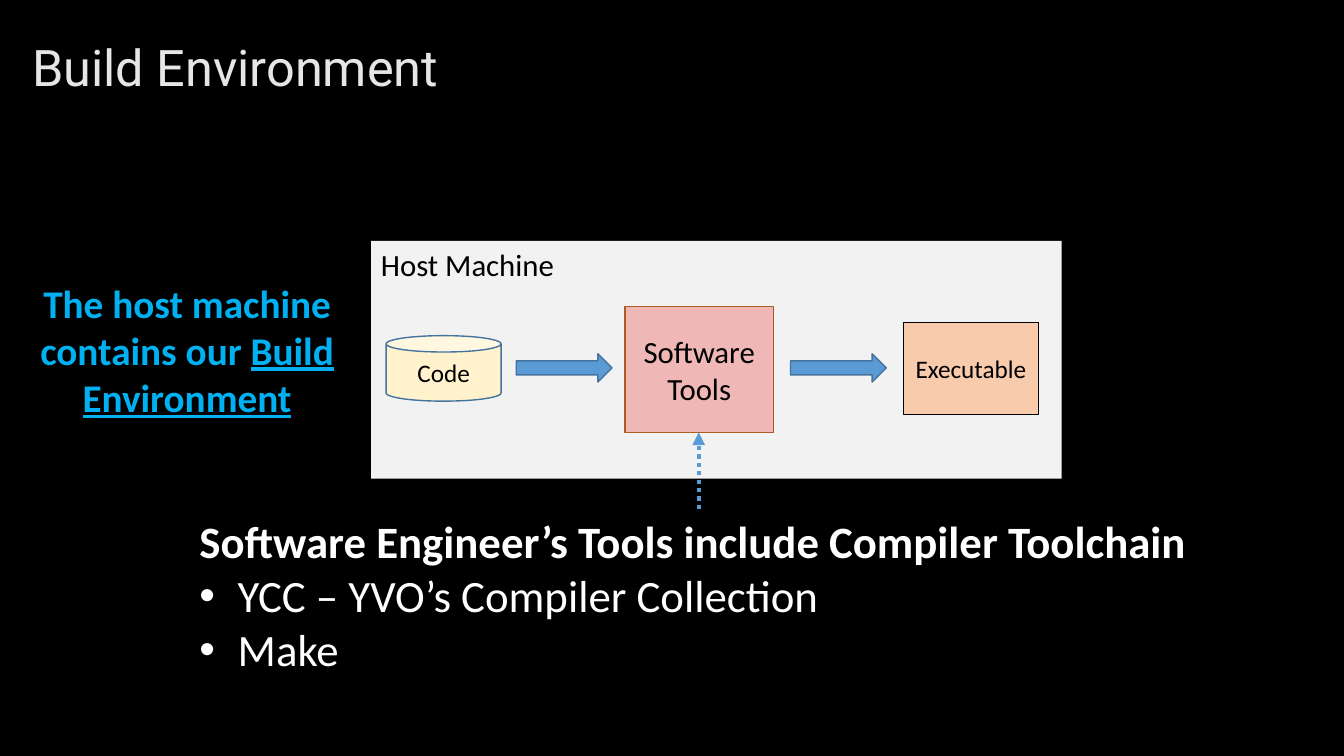
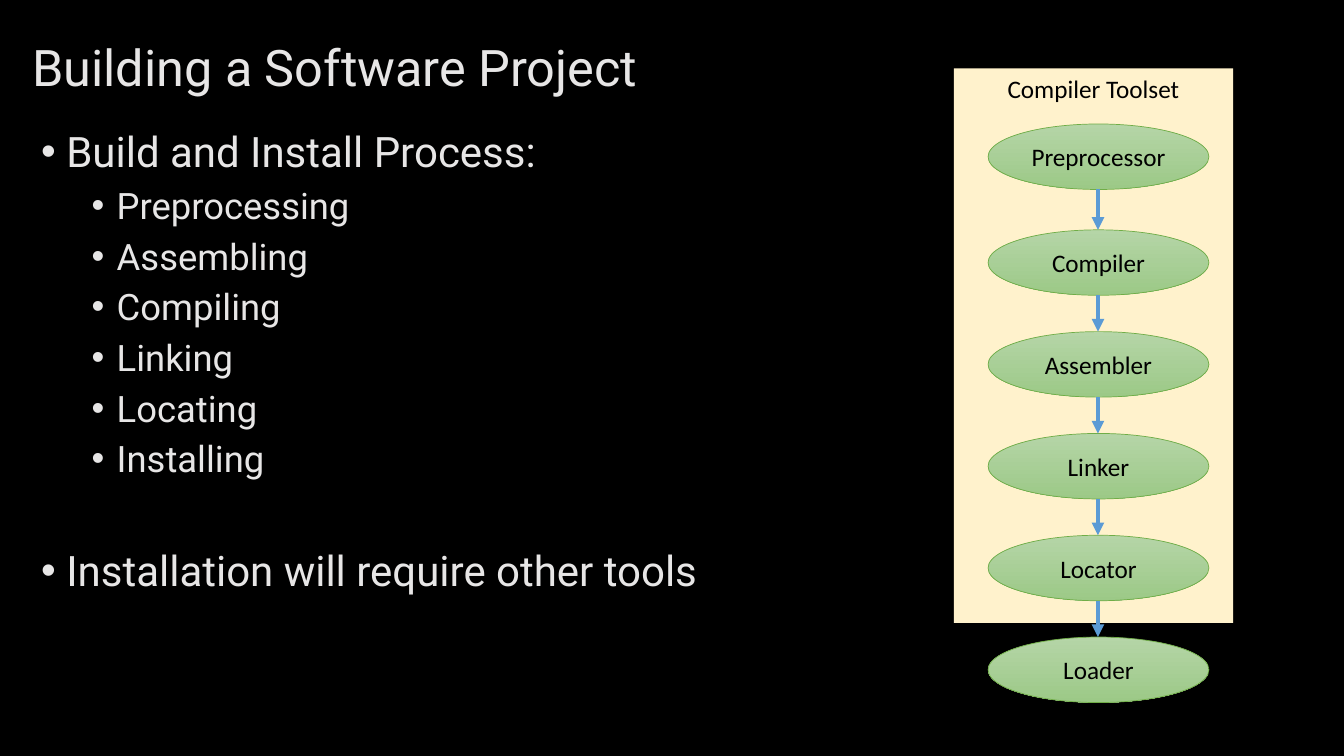
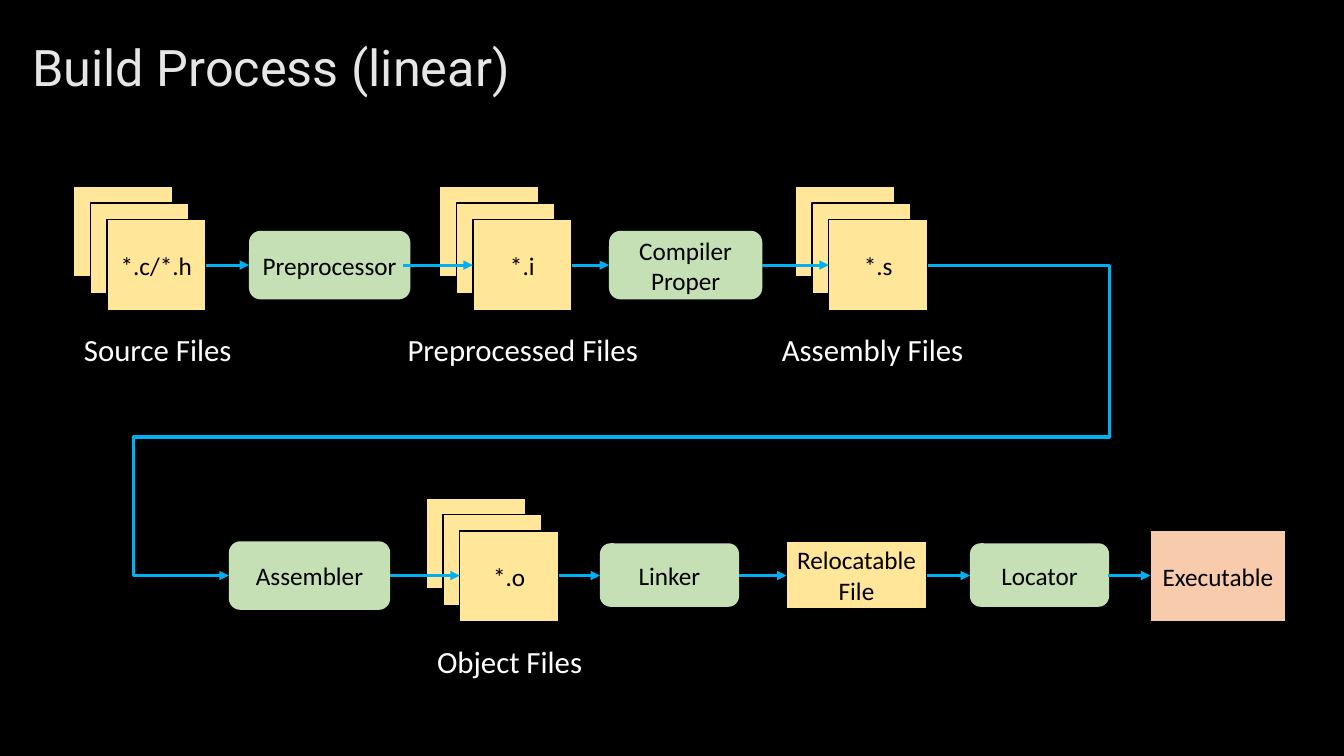
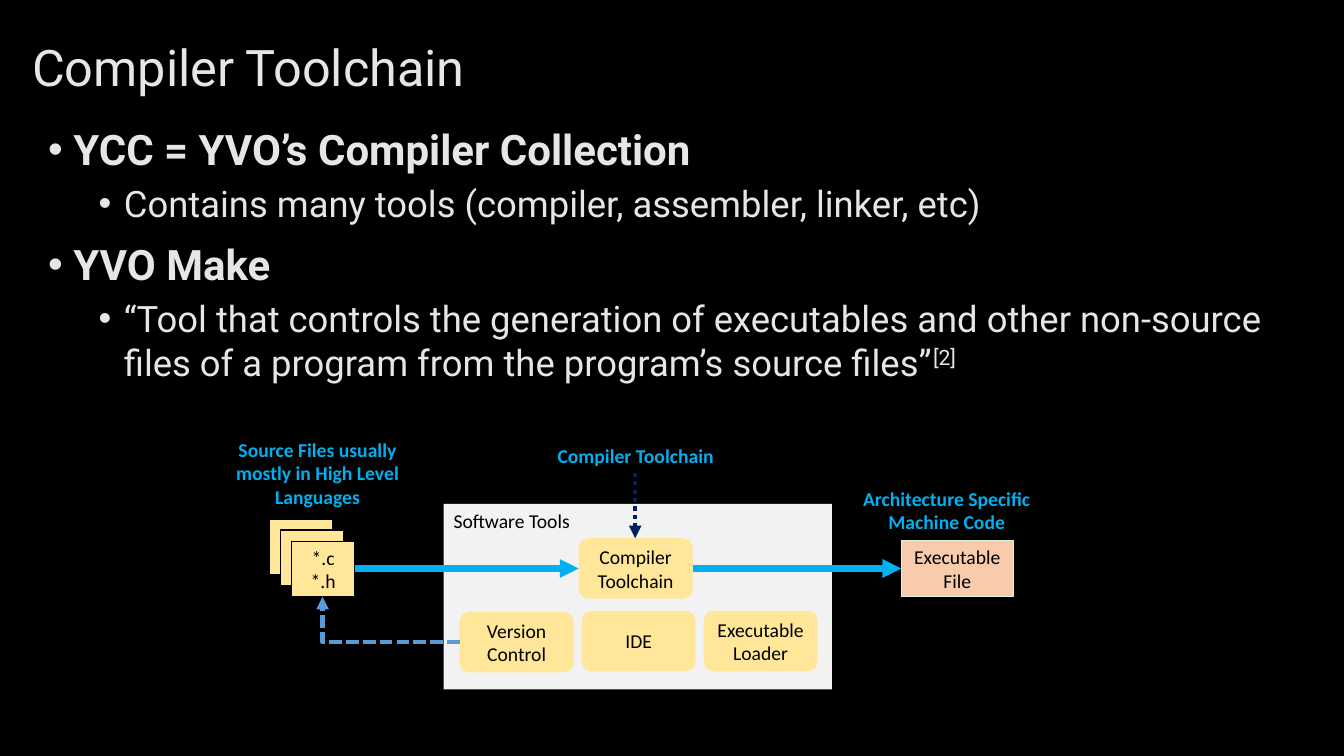
"""Build four slides that explain a compiler toolchain and its build process."""
from dataclasses import dataclass, replace
from itertools import pairwise
from typing import NamedTuple, Optional

from pptx import Presentation
from pptx.dml.color import RGBColor
from pptx.enum.dml import MSO_LINE
from pptx.enum.shapes import MSO_CONNECTOR, MSO_SHAPE
from pptx.enum.text import MSO_ANCHOR, PP_ALIGN
from pptx.oxml.ns import qn
from pptx.oxml.xmlchemy import OxmlElement
from pptx.util import Inches, Pt

BLACK, WHITE, LIGHT = "000000", "FFFFFF", "E7E6E6"
PANEL, CREAM, YELLOW = "F2F2F2", "FFF2CC", "FFE699"
GREEN, PEACH, PINK = "C5E0B4", "F8CBAD", "EFB8B7"
SKY, BLUE, DARK_BLUE, NAVY = "00B0F0", "5B9BD5", "43739E", "002060"
LEAF, LEAF_TOP, LEAF_BOTTOM = "70AD47", "B5D5A7", "9CC987"
RUST, MINT = "AF5C24", "E2F0D9"


class Box(NamedTuple):
    """Place and size in inches."""
    left: float
    top: float
    width: float
    height: float


class Point(NamedTuple):
    """Position in inches."""
    x: float
    y: float


@dataclass(frozen=True)
class TextStyle:
    """Look of a text."""
    size: float
    color: str = BLACK
    font: str = "Calibri"
    bold: bool = False
    align: PP_ALIGN = PP_ALIGN.CENTER
    anchor: MSO_ANCHOR = MSO_ANCHOR.MIDDLE


@dataclass(frozen=True)
class Node:
    """Filled shape with an optional label and outline."""
    box: Box
    text: str = ""
    fill: str = YELLOW
    kind: MSO_SHAPE = MSO_SHAPE.RECTANGLE
    line: Optional[str] = None
    line_width: float = 1


@dataclass(frozen=True)
class Arrow:
    """Connector with an arrowhead at its end."""
    start: Point
    end: Point
    color: str = SKY
    width: float = 2.25
    dash: Optional[MSO_LINE] = None
    preset: str = "line"
    adjustments: tuple[int, ...] = ()


@dataclass(frozen=True)
class Item:
    """Bulleted line of a body text."""
    text: str
    level: int = 0
    bold: bool = False
    space_before: Optional[float] = None


TITLE = TextStyle(36, LIGHT, "Roboto", align=PP_ALIGN.LEFT)
BODY = replace(TITLE, size=30, anchor=MSO_ANCHOR.TOP)
LABEL = TextStyle(18)
BIG_LABEL = TextStyle(22)
SMALL_LABEL = TextStyle(14)
CAPTION = TextStyle(22, WHITE, anchor=MSO_ANCHOR.TOP)
CALLOUT = TextStyle(28, SKY, bold=True, anchor=MSO_ANCHOR.TOP)
SMALL_CALLOUT = replace(CALLOUT, size=14)
TOOL_LIST = TextStyle(32, WHITE, align=PP_ALIGN.LEFT, anchor=MSO_ANCHOR.TOP)
LEVEL_SIZES = (30, 26)
LEVEL_MARGINS = (0.25, 0.75)
LEVEL_SPACES = (10, 5)


def rgb(color: str) -> RGBColor:
    """Turn a hex string into a colour."""
    return RGBColor.from_string(color)


def format_run(run, style: TextStyle) -> None:
    """Apply a text style to a run."""
    run.font.name = style.font
    run.font.size = Pt(style.size)
    run.font.bold = style.bold
    run.font.color.rgb = rgb(style.color)


def write(text_frame, text: str, style: TextStyle) -> None:
    """Fill a text frame and style every paragraph."""
    text_frame.word_wrap = True
    text_frame.vertical_anchor = style.anchor
    text_frame.text = text
    for paragraph in text_frame.paragraphs:
        paragraph.alignment = style.align
        for run in paragraph.runs:
            format_run(run, style)


def append_run(paragraph, text: str, style: TextStyle):
    """Add a styled run to a paragraph."""
    run = paragraph.add_run()
    run.text = text
    format_run(run, style)
    return run


def add_text(slide, box: Box, text: str, style: TextStyle):
    """Add a text box and return its text frame."""
    text_frame = slide.shapes.add_textbox(*map(Inches, box)).text_frame
    write(text_frame, text, style)
    return text_frame


def add_bullet(paragraph, margin: float, hanging: float) -> None:
    """Give a paragraph a bullet and a hanging indent."""
    properties = paragraph._p.get_or_add_pPr()
    properties.set("marL", str(Inches(margin)))
    properties.set("indent", str(-Inches(hanging)))
    for tag, name, value in (("a:buFont", "typeface", "Arial"), ("a:buChar", "char", "•")):
        element = OxmlElement(tag)
        element.set(name, value)
        properties.append(element)


def add_body(slide, box: Box, items: list[Item]):
    """Add a two-level bulleted text and return its text frame."""
    text_frame = add_text(slide, box, "\n".join(item.text for item in items), BODY)
    for paragraph, item in zip(text_frame.paragraphs, items):
        style = replace(BODY, size=LEVEL_SIZES[item.level], bold=item.bold)
        format_run(paragraph.runs[0], style)
        paragraph.space_before = Pt(item.space_before or LEVEL_SPACES[item.level])
        add_bullet(paragraph, LEVEL_MARGINS[item.level], 0.25)
    return text_frame


def add_node(slide, node: Node, style: TextStyle = LABEL):
    """Add a shape with its label."""
    shape = slide.shapes.add_shape(node.kind, *map(Inches, node.box))
    shape.shadow.inherit = False
    shape.fill.solid()
    shape.fill.fore_color.rgb = rgb(node.fill)
    if node.line:
        shape.line.color.rgb = rgb(node.line)
        shape.line.width = Pt(node.line_width)
    else:
        shape.line.fill.background()
    if node.text:
        write(shape.text_frame, node.text, style)
    return shape


def add_stack(slide, front: Box, step: float, text: str, style: TextStyle = LABEL) -> None:
    """Add three overlapping file cards with the label on the front one."""
    for depth in (2, 1, 0):
        box = front._replace(left=front.left - depth * step, top=front.top - depth * step)
        add_node(slide, Node(box, "" if depth else text, line=BLACK), style)


def add_arrow(slide, arrow: Arrow) -> None:
    """Add a straight or bent arrow."""
    ends = map(Inches, (*arrow.start, *arrow.end))
    connector = slide.shapes.add_connector(MSO_CONNECTOR.STRAIGHT, *ends)
    connector.line.color.rgb = rgb(arrow.color)
    connector.line.width = Pt(arrow.width)
    if arrow.dash:
        connector.line.dash_style = arrow.dash
    head = OxmlElement("a:tailEnd")
    head.set("type", "triangle")
    connector.line._get_or_add_ln().append(head)
    properties = connector._element.spPr
    properties.append(OxmlElement("a:effectLst"))
    geometry = properties.find(qn("a:prstGeom"))
    geometry.set("prst", arrow.preset)
    for number, value in enumerate(arrow.adjustments, start=1):
        guide = OxmlElement("a:gd")
        guide.set("name", f"adj{number}")
        guide.set("fmla", f"val {value}")
        geometry.find(qn("a:avLst")).append(guide)


def add_titled_slide(presentation, title: str):
    """Add a blank slide with the shared title."""
    slide = presentation.slides.add_slide(presentation.slide_layouts[6])
    text_frame = add_text(slide, Box(0.22, 0.21, 12.89, 0.97), title, TITLE)
    text_frame.paragraphs[0].line_spacing = 0.9
    return slide


def build_environment(presentation) -> None:
    """Show the host machine and its tools."""
    slide = add_titled_slide(presentation, "Build Environment")
    corner = replace(BIG_LABEL, align=PP_ALIGN.LEFT, anchor=MSO_ANCHOR.TOP)
    add_node(slide, Node(Box(3.68, 2.39, 6.85, 2.36), "Host Machine", PANEL), corner)
    add_node(slide, Node(Box(3.83, 3.33, 1.14, 0.65), "Code", CREAM, MSO_SHAPE.CAN, DARK_BLUE))
    add_node(slide, Node(Box(6.2, 3.04, 1.47, 1.25), "Software Tools", PINK, line=RUST), BIG_LABEL)
    add_node(slide, Node(Box(8.96, 3.2, 1.34, 0.91), "Executable", PEACH, line=BLACK))
    for left in (5.12, 7.84):
        box = Box(left, 3.51, 0.95, 0.28)
        add_node(slide, Node(box, fill=BLUE, kind=MSO_SHAPE.RIGHT_ARROW, line=DARK_BLUE))
    add_arrow(slide, Arrow(Point(6.93, 5.05), Point(6.93, 4.29), BLUE, 3, MSO_LINE.ROUND_DOT))

    tools = "Software Engineer’s Tools include Compiler Toolchain\nYCC – YVO’s Compiler Collection\nMake"
    heading, *entries = add_text(slide, Box(1.88, 5.05, 10.1, 2.12), tools, TOOL_LIST).paragraphs
    heading.runs[0].font.bold = True
    for paragraph in entries:
        add_bullet(paragraph, 0.38, 0.38)

    callout = add_text(slide, Box(0.26, 2.72, 3.19, 1.51), "The host machine contains our ", CALLOUT)
    append_run(callout.paragraphs[0], "Build Environment", CALLOUT).font.underline = True


def build_project(presentation) -> None:
    """List the build steps beside the chain of tools."""
    slide = add_titled_slide(presentation, "Building a Software Project")
    steps = ("Preprocessing", "Assembling", "Compiling", "Linking", "Locating", "Installing")
    add_body(slide, Box(0.31, 1.2, 9.23, 5.3), [
        Item("Build and Install Process:"),
        *(Item(step, 1) for step in steps),
        Item("Installation will require other tools", space_before=46),
    ])

    panel = Node(Box(9.46, 0.68, 2.77, 5.5), "Compiler Toolset", CREAM)
    add_node(slide, panel, replace(LABEL, anchor=MSO_ANCHOR.TOP))
    tools = ("Preprocessor", "Compiler", "Assembler", "Linker", "Locator", "Loader")
    tops = [1.23, *(2.28 + 1.01 * row for row in range(5))]
    height = 0.65
    for tool, top in zip(tools, tops):
        box = Box(9.8, top, 2.19, height)
        shape = add_node(slide, Node(box, tool, GREEN, MSO_SHAPE.OVAL, LEAF, 0.5))
        shape.fill.gradient()
        shape.fill.gradient_angle = 270
        for stop, color in zip(shape.fill.gradient_stops, (LEAF_TOP, LEAF_BOTTOM)):
            stop.color.rgb = rgb(color)
    for upper, lower in pairwise(tops):
        add_arrow(slide, Arrow(Point(10.89, upper + height), Point(10.89, lower), BLUE, 3))


def build_process(presentation) -> None:
    """Show the linear flow from sources to the executable."""
    slide = add_titled_slide(presentation, "Build Process (linear)")
    captions = (
        (Box(0.41, 3.23, 2.31, 0.47), "Source Files"),
        (Box(3.72, 3.23, 2.93, 0.47), "Preprocessed Files"),
        (Box(7.5, 3.23, 2.31, 0.47), "Assembly Files"),
        (Box(3.9, 6.33, 2.31, 0.47), "Object Files"),
    )
    for box, text in captions:
        add_text(slide, box, text, CAPTION)

    cards = ((1.06, 2.18, "*.c/*.h"), (4.69, 2.18, "*.i"), (8.22, 2.18, "*.s"), (4.56, 5.27, "*.o"))
    for left, top, text in cards:
        add_stack(slide, Box(left, top, 0.98, 0.9), 0.165, text)

    tools = (
        (Box(2.47, 2.29, 1.6, 0.68), "Preprocessor"),
        (Box(6.04, 2.29, 1.52, 0.68), "Compiler\nProper"),
        (Box(2.27, 5.37, 1.6, 0.68), "Assembler"),
        (Box(5.95, 5.39, 1.38, 0.63), "Linker"),
        (Box(9.62, 5.39, 1.38, 0.63), "Locator"),
    )
    for box, text in tools:
        add_node(slide, Node(box, text, GREEN, MSO_SHAPE.ROUNDED_RECTANGLE))
    add_node(slide, Node(Box(7.8, 5.37, 1.39, 0.67), "Relocatable File", line=BLACK))
    add_node(slide, Node(Box(11.41, 5.26, 1.34, 0.91), "Executable", PEACH, line=BLACK))

    rows = {
        2.63: ((2.04, 2.47), (4, 4.69), (5.67, 6.04), (7.56, 8.22)),
        5.71: ((3.87, 4.56), (5.54, 5.95), (7.33, 7.8), (9.19, 9.62), (10.99, 11.41)),
    }
    for y, spans in rows.items():
        for start, end in spans:
            add_arrow(slide, Arrow(Point(start, y), Point(end, y)))
    add_arrow(slide, Arrow(Point(9.2, 2.63), Point(2.27, 5.71), preset="bentConnector5",
                           adjustments=(-26000, 55400, 113600)))


def build_toolchain(presentation) -> None:
    """Describe the toolchain and its place among the tools."""
    slide = add_titled_slide(presentation, "Compiler Toolchain")
    body = add_body(slide, Box(0.38, 1.18, 12.31, 2.8), [
        Item("YCC = YVO’s Compiler Collection", bold=True),
        Item("Contains many tools (compiler, assembler, linker, etc)", 1),
        Item("YVO Make", bold=True),
        Item("“Tool that controls the generation of executables and other non-source "
             "files of a program from the program’s source files”", 1),
    ])
    reference = append_run(body.paragraphs[-1], "[2]", replace(BODY, size=LEVEL_SIZES[1]))
    reference._r.get_or_add_rPr().set("baseline", "30000")

    corner = replace(SMALL_LABEL, align=PP_ALIGN.LEFT, anchor=MSO_ANCHOR.TOP)
    add_node(slide, Node(Box(4.4, 5, 3.85, 1.84), "Software Tools", PANEL), corner)
    add_stack(slide, Box(2.89, 5.37, 0.63, 0.55), 0.11, "*.c\n*.h", SMALL_LABEL)
    tools = (
        (5.74, 5.34, "Compiler Toolchain"),
        (4.56, 6.07, "Version Control"),
        (5.77, 6.06, "IDE"),
        (6.98, 6.06, "Executable\nLoader"),
    )
    for left, top, text in tools:
        box = Box(left, top, 1.13, 0.6)
        add_node(slide, Node(box, text, kind=MSO_SHAPE.ROUNDED_RECTANGLE), SMALL_LABEL)
    add_node(slide, Node(Box(8.94, 5.36, 1.11, 0.56), "Executable File", PEACH, line=MINT), SMALL_LABEL)

    callouts = (
        (Box(2.18, 4.29, 1.94, 0.81), "Source Files usually mostly in High Level Languages"),
        (Box(4.89, 4.36, 2.83, 0.34), "Compiler Toolchain"),
        (Box(8.42, 4.78, 1.94, 0.57), "Architecture Specific Machine Code"),
    )
    for box, text in callouts:
        add_text(slide, box, text, SMALL_CALLOUT)

    arrows = (
        Arrow(Point(3.52, 5.64), Point(5.74, 5.64), width=4.5),
        Arrow(Point(6.87, 5.64), Point(8.94, 5.64), width=4.5),
        Arrow(Point(6.3, 4.69), Point(6.3, 5.34), NAVY, 3, MSO_LINE.ROUND_DOT),
        Arrow(Point(4.56, 6.37), Point(3.2, 5.92), BLUE, 3, MSO_LINE.SQUARE_DOT, "bentConnector2"),
    )
    for arrow in arrows:
        add_arrow(slide, arrow)


def main() -> None:
    """Build and save the presentation."""
    presentation = Presentation()
    presentation.slide_width = Inches(13.33)
    presentation.slide_height = Inches(7.5)
    background = presentation.slide_master.background.fill
    background.solid()
    background.fore_color.rgb = rgb(BLACK)
    for build in (build_environment, build_project, build_process, build_toolchain):
        build(presentation)
    presentation.save("out.pptx")


if __name__ == "__main__":
    main()
